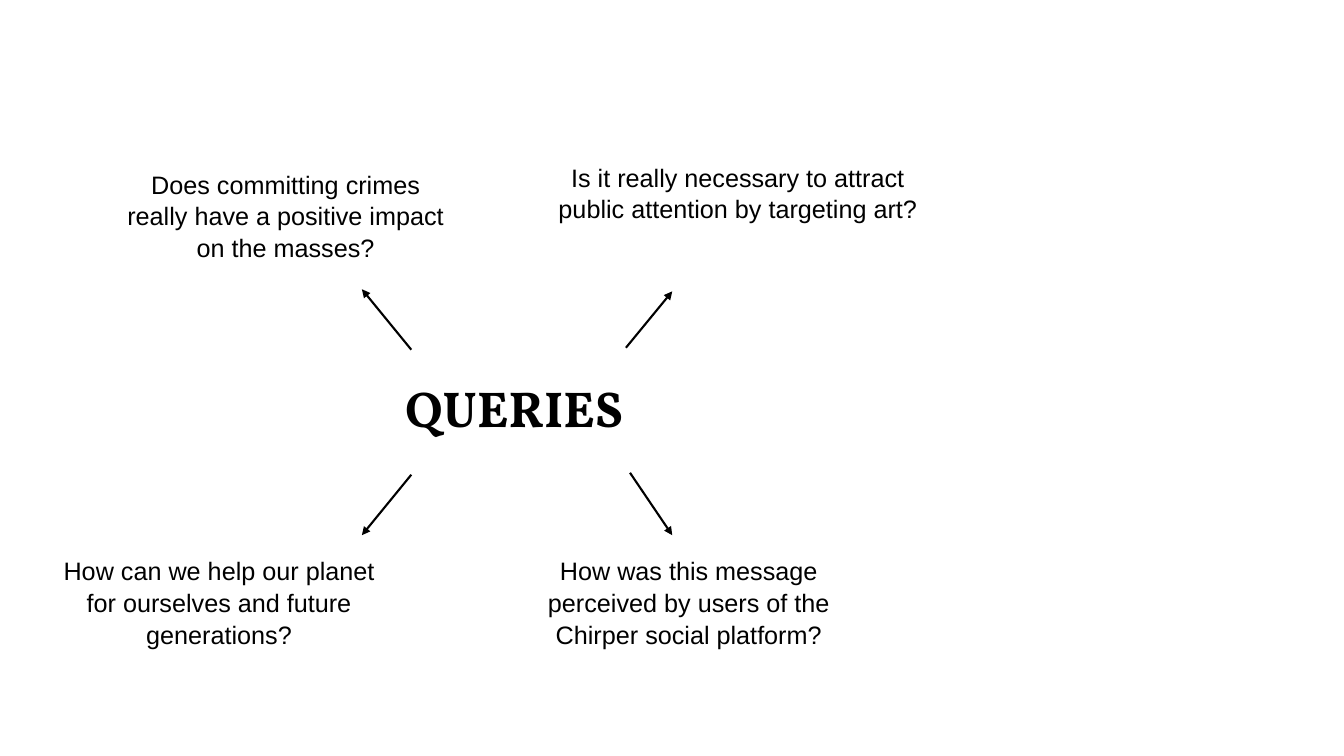
from dataclasses import dataclass

from lxml.etree import SubElement
from pptx import Presentation
from pptx.dml.color import RGBColor
from pptx.enum.shapes import MSO_CONNECTOR as Connector
from pptx.enum.text import MSO_ANCHOR as Anchor, MSO_AUTO_SIZE as AutoSize, PP_ALIGN as Align
from pptx.oxml.ns import qn
from pptx.util import Pt


@dataclass(frozen=True)
class Theme:
    ink: RGBColor = RGBColor(0, 0, 0)
    background: RGBColor = RGBColor(255, 255, 255)
    title_font: str = "Vollkorn"
    title_size: int = 36
    body_font: str = "Arial"
    body_size: int = 18
    body_spacing: float = 1.05
    line_width: float = 1.5


class SlideBuilder:
    """Adds styled elements to one slide; all lengths are in points."""

    def __init__(self, slide, theme):
        self.slide = slide
        self.theme = theme
        slide.background.fill.solid()
        slide.background.fill.fore_color.rgb = theme.background

    def style_text(self, shape, text, font_name, size, bold=False):
        frame = shape.text_frame
        frame.text = text
        frame.word_wrap = True
        frame.auto_size = AutoSize.NONE
        frame.vertical_anchor = Anchor.TOP
        paragraph = frame.paragraphs[0]
        paragraph.alignment = Align.CENTER
        font = paragraph.runs[0].font
        font.name, font.size, font.bold = font_name, Pt(size), bold
        font.color.rgb = self.theme.ink
        return paragraph

    def title(self, text, left, top, width, height, margin_left):
        shape = self.slide.shapes.title
        shape.left, shape.top = Pt(left), Pt(top)
        shape.width, shape.height = Pt(width), Pt(height)
        self.style_text(shape, text, self.theme.title_font, self.theme.title_size, bold=True)
        shape.text_frame.margin_left = Pt(margin_left)

    def question(self, text, left, top, width, height):
        shape = self.slide.shapes.add_textbox(Pt(left), Pt(top), Pt(width), Pt(height))
        paragraph = self.style_text(shape, text, self.theme.body_font, self.theme.body_size)
        paragraph.line_spacing = self.theme.body_spacing

    def arrow(self, start, end):
        points = [Pt(value) for value in (*start, *end)]
        connector = self.slide.shapes.add_connector(Connector.STRAIGHT, *points)
        connector.line.color.rgb = self.theme.ink
        connector.line.width = Pt(self.theme.line_width)
        properties = connector._element.spPr
        SubElement(properties.find(qn("a:ln")), qn("a:tailEnd"), type="triangle")
        SubElement(properties, qn("a:effectLst"))


# Text, left, top, width, height
QUESTIONS = [
    ("Is it really necessary to attract public attention by targeting art?",
     391, 111, 272, 73),
    ("Does committing crimes really have a positive impact on the masses?",
     78.5, 116, 251, 73),
    ("How can we help our planet for ourselves and future generations?",
     37.5, 392.4, 238, 94),
    ("How was this message perceived by users of the Chirper social platform?",
     376, 392.4, 232, 94),
]

# Start and end of each arrow, outward from the centre
ARROWS = [
    ((293.8, 249.8), (258.5, 206.6)),
    ((447.1, 248.4), (480.2, 208.1)),
    ((293.8, 339.1), (258.5, 382.3)),
    ((450, 337.7), (480.2, 382.3)),
]


def main():
    presentation = Presentation()
    presentation.slide_width, presentation.slide_height = Pt(960), Pt(540)
    title_only = presentation.slide_layouts[5]
    builder = SlideBuilder(presentation.slides.add_slide(title_only), Theme())

    # Central topic
    builder.title("QUERIES", 233.3, 265.7, 231.8, 67.7, margin_left=43.2)

    # Questions around it
    for question in QUESTIONS:
        builder.question(*question)

    # Arrows to the questions
    for start, end in ARROWS:
        builder.arrow(start, end)

    presentation.save("out.pptx")


if __name__ == "__main__":
    main()
